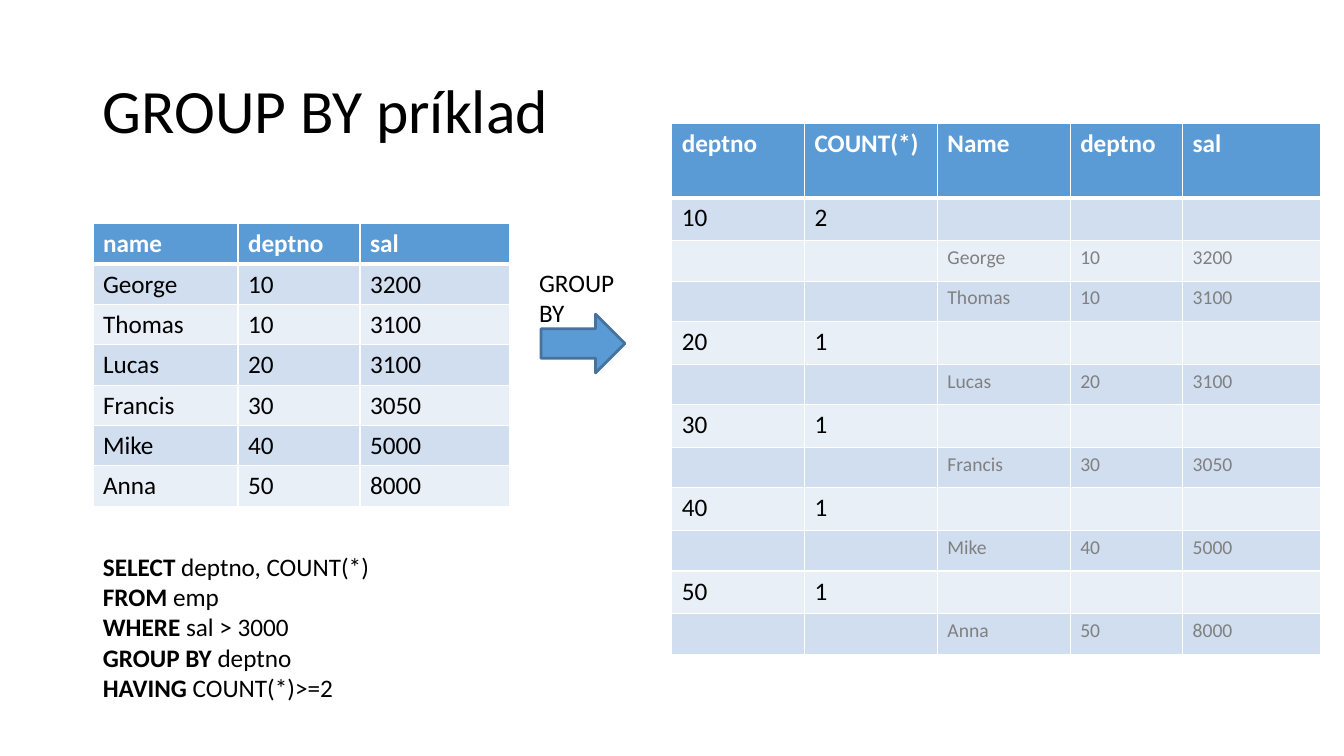
"""Build a slide that explains SQL GROUP BY with a source table and its grouped result."""
import dataclasses
import itertools
import typing

import pptx
import pptx.dml.color
import pptx.enum.shapes
import pptx.enum.text
import pptx.oxml
import pptx.oxml.ns
import pptx.util

Pt = pptx.util.Pt
FONT = "Calibri"
COLORS = {
    "text": "000000",
    "muted": "808080",
    "white": "FFFFFF",
    "accent": "5B9BD5",
    "outline": "43739E",
    "band_dark": "D1DEEF",
    "band_light": "E9EFF7",
}


@dataclasses.dataclass(frozen=True)
class Run:
    text: str
    size: float = 18
    bold: bool = False
    color: str = "text"


@dataclasses.dataclass(frozen=True)
class TextBox:
    left: float
    top: float
    width: float
    height: float
    lines: list[list[Run]]
    anchor: typing.Any = pptx.enum.text.MSO_ANCHOR.TOP
    spacing: float = 1.0


@dataclasses.dataclass(frozen=True)
class Table:
    left: float
    top: float
    widths: list[float]
    heights: list[float]
    rows: list[list[Run]]


def rgb(name: str) -> pptx.dml.color.RGBColor:
    return pptx.dml.color.RGBColor.from_string(COLORS[name])


def add_run(p: typing.Any, run: Run) -> None:
    r = p.add_run()
    r.text = run.text
    r.font.name = FONT
    r.font.size = Pt(run.size)
    r.font.bold = run.bold
    r.font.color.rgb = rgb(run.color)


def add_text(s: typing.Any, box: TextBox) -> None:
    sp = s.shapes.add_textbox(Pt(box.left), Pt(box.top), Pt(box.width), Pt(box.height))
    tf = sp.text_frame
    tf.word_wrap = True
    tf.vertical_anchor = box.anchor
    p = tf.paragraphs[0]
    p.line_spacing = box.spacing
    for i, line in enumerate(box.lines):
        if i:
            p.add_line_break()
        for run in line:
            add_run(p, run)


def add_borders(cell: typing.Any, row: int) -> None:
    tc_pr = cell._tc.get_or_add_tcPr()
    thick_side = {0: "B", 1: "T"}.get(row)
    for side in "LRTB":
        width = Pt(3 if side == thick_side else 0.96)
        tc_pr.append(pptx.oxml.parse_xml(
            f'<a:ln{side} {pptx.oxml.ns.nsdecls("a")} w="{width}"><a:solidFill>'
            f'<a:srgbClr val="{COLORS["white"]}"/></a:solidFill></a:ln{side}>'))


def add_table(s: typing.Any, table: Table) -> None:
    frame = s.shapes.add_table(
        len(table.rows), len(table.widths), Pt(table.left), Pt(table.top),
        Pt(sum(table.widths)), Pt(sum(table.heights)))
    tbl = frame.table
    for column, width in zip(tbl.columns, table.widths):
        column.width = Pt(width)
    for i, (row, height) in enumerate(zip(table.rows, table.heights)):
        tbl.rows[i].height = Pt(height)
        band = "band_dark" if i % 2 else "band_light"
        for j, run in enumerate(row):
            cell = tbl.cell(i, j)
            add_borders(cell, i)
            cell.fill.solid()
            cell.fill.fore_color.rgb = rgb(band if i else "accent")
            if run.text:
                add_run(cell.text_frame.paragraphs[0], run)


def add_arrow(s: typing.Any, left: float, top: float, width: float, height: float) -> None:
    sp = s.shapes.add_shape(
        pptx.enum.shapes.MSO_SHAPE.RIGHT_ARROW, Pt(left), Pt(top), Pt(width), Pt(height))
    sp.shadow.inherit = False
    sp.fill.solid()
    sp.fill.fore_color.rgb = rgb("accent")
    sp.line.color.rgb = rgb("outline")
    sp.line.width = Pt(2)


def header(*names: str) -> list[Run]:
    return [Run(name, bold=True, color="white") for name in names]


EMPLOYEES = [
    ("George", "10", "3200"),
    ("Thomas", "10", "3100"),
    ("Lucas", "20", "3100"),
    ("Francis", "30", "3050"),
    ("Mike", "40", "5000"),
    ("Anna", "50", "8000"),
]
QUERY = [
    ("SELECT", " deptno, COUNT(*)"),
    ("FROM", " emp"),
    ("WHERE", " sal > 3000"),
    ("GROUP BY", " deptno"),
    ("HAVING", " COUNT(*)>=2"),
]
MARGIN = 66.4
ROW = 28.8
GROUP_ROW = 30.6


def source_table() -> Table:
    rows = [header("name", "deptno", "sal")]
    rows += [[Run(value) for value in employee] for employee in EMPLOYEES]
    return Table(MARGIN, 159.8, [103.6, 87.2, 106.6], [ROW] * len(rows), rows)


def grouped_table() -> Table:
    rows = [header("deptno", "COUNT(*)", "Name", "deptno", "sal")]
    heights = [53.0]
    for deptno, group in itertools.groupby(EMPLOYEES, key=lambda employee: employee[1]):
        members = list(group)
        rows.append([Run(deptno), Run(str(len(members)))] + [Run("")] * 3)
        rows += [[Run("")] * 2 + [Run(value, 14, color="muted") for value in member]
                 for member in members]
        heights += [GROUP_ROW] + [ROW] * len(members)
    return Table(479.8, 88.4, [94.9, 94.9, 94.9, 80.3, 98.6], heights, rows)


def main() -> None:
    prs = pptx.Presentation()
    prs.slide_width, prs.slide_height = Pt(960), Pt(540)
    s = prs.slides.add_slide(prs.slide_layouts[6])
    add_text(s, TextBox(MARGIN, 28.8, 828, 104.4, [[Run("GROUP BY príklad", 44)]],
                        pptx.enum.text.MSO_ANCHOR.MIDDLE, 0.9))
    add_table(s, source_table())
    add_arrow(s, 386.4, 224.4, 60, 42)
    add_text(s, TextBox(378, 187.2, 88, 29, [[Run("GROUP BY")]]))
    add_text(s, TextBox(MARGIN, 390.2, 480, 115.2,
                        [[Run(keyword, bold=True), Run(rest)] for keyword, rest in QUERY]))
    add_table(s, grouped_table())
    prs.save("out.pptx")


main()
